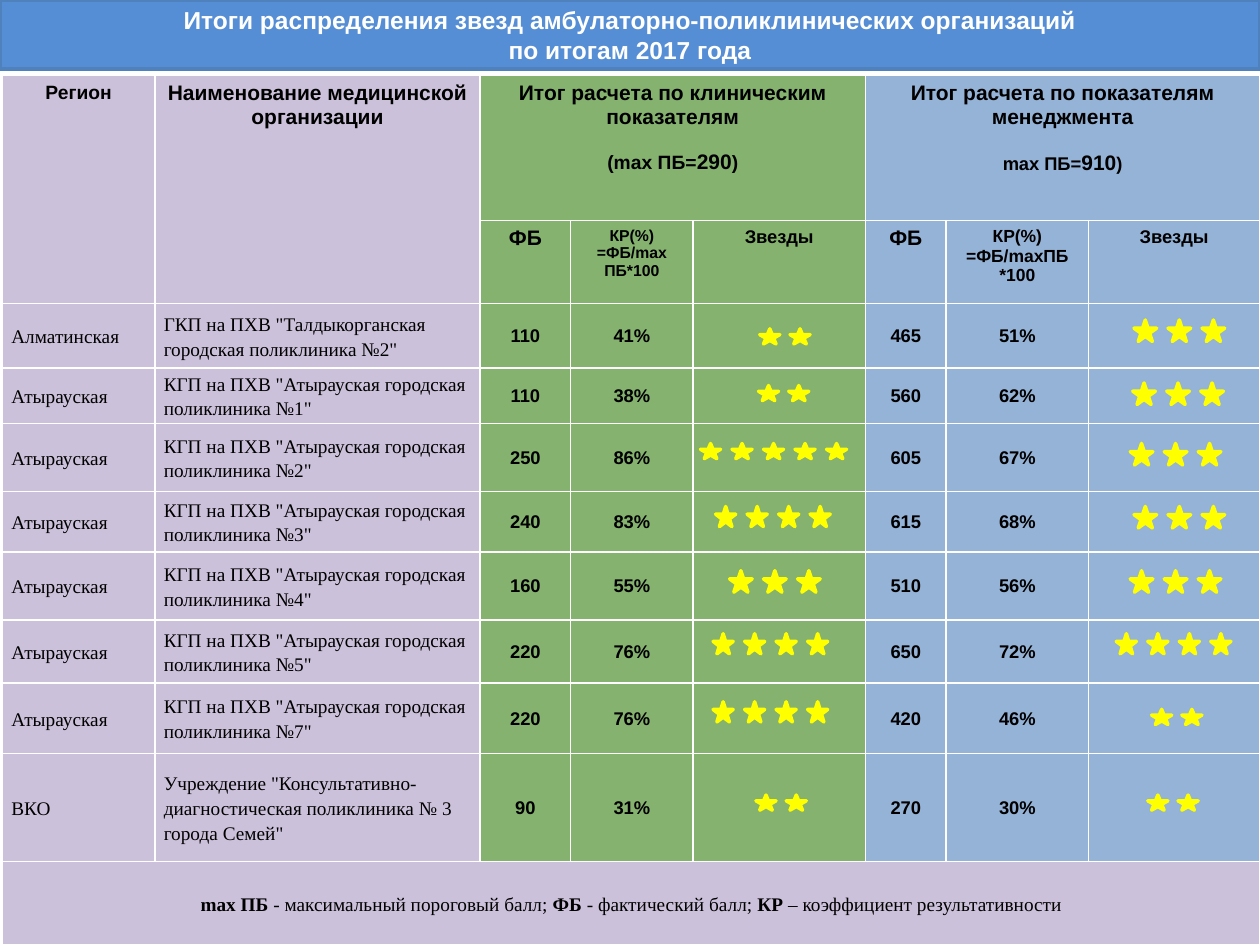
from pptx import Presentation
from pptx.dml.color import RGBColor
from pptx.enum.shapes import MSO_SHAPE
from pptx.enum.text import MSO_ANCHOR, PP_ALIGN
from pptx.oxml import parse_xml
from pptx.oxml.ns import nsdecls
from pptx.util import Inches, Pt

WHITE = RGBColor(0xFF, 0xFF, 0xFF)
BLACK = RGBColor(0, 0, 0)
YELLOW = RGBColor(0xFF, 0xFF, 0)
TITLE_BLUE = RGBColor(0x55, 0x8E, 0xD5)
TITLE_EDGE = RGBColor(0x4F, 0x81, 0xBD)
LILAC = RGBColor(0xCC, 0xC1, 0xDA)
GREEN = RGBColor(0x85, 0xB2, 0x6E)
BLUE = RGBColor(0x95, 0xB3, 0xD7)
COLUMN_COLORS = [LILAC] * 2 + [GREEN] * 3 + [BLUE] * 3

REGION_INSETS = {"margin_left": Inches(0.07), "margin_top": 0,
                 "margin_right": Inches(0.07), "margin_bottom": 0,
                 "vertical_anchor": MSO_ANCHOR.MIDDLE}
SCORE_INSETS = {"margin_left": Inches(0.01), "margin_top": Inches(0.01),
                "margin_right": Inches(0.01), "margin_bottom": 0,
                "vertical_anchor": MSO_ANCHOR.MIDDLE}


def write(cell, paragraphs, font="Arial", align=PP_ALIGN.CENTER, spacing=None, gap=0, layout={}):
    for name, value in layout.items():
        setattr(cell, name, value)
    frame = cell.text_frame
    for index, runs in enumerate(paragraphs):
        paragraph = frame.add_paragraph() if index else frame.paragraphs[0]
        paragraph.alignment = align
        paragraph.line_spacing = spacing
        if index and gap:
            paragraph.space_before = Pt(gap)
        for text, size, bold in runs:
            run = paragraph.add_run()
            run.text = text
            run.font.name = font
            run.font.size = Pt(size)
            run.font.bold = bold
            run.font.color.rgb = BLACK


prs = Presentation()
prs.slide_width, prs.slide_height = Inches(10), Inches(7.5)
slide = prs.slides.add_slide(prs.slide_layouts[5])

title = slide.shapes.title
title.left, title.top, title.width, title.height = 0, 0, Inches(10), Inches(0.55)
title.fill.solid()
title.fill.fore_color.rgb = TITLE_BLUE
title.line.color.rgb = TITLE_EDGE
title.line.width = Pt(2)
title.text_frame.text = "Итоги распределения звезд амбулаторно-поликлинических организаций\vпо итогам 2017 года"
title.text_frame.vertical_anchor = MSO_ANCHOR.MIDDLE
heading = title.text_frame.paragraphs[0]
heading.alignment = PP_ALIGN.CENTER
for run in heading.runs:
    for name, value in {"name": "Arial", "size": Pt(14), "bold": True}.items():
        setattr(run.font, name, value)
    run.font.color.rgb = WHITE

column_widths = [1.21, 2.58, 0.72, 0.97, 1.37, 0.64, 1.13, 1.36]
row_heights = [1.15, 0.66, 0.51, 0.44, 0.54, 0.48, 0.54, 0.5, 0.56, 0.86, 0.66]
table = slide.shapes.add_table(len(row_heights), len(column_widths), Inches(0.02), Inches(0.6),
                               Inches(9.98), Inches(6.9)).table
for column, width in zip(table.columns, column_widths):
    column.width = Inches(width)
for row, height in zip(table.rows, row_heights):
    row.height = Inches(height)

last = len(row_heights) - 1
for row_index in range(len(row_heights)):
    for column_index, color in enumerate(COLUMN_COLORS):
        cell = table.cell(row_index, column_index)
        properties = cell._tc.get_or_add_tcPr()
        for side in ("L", "R", "T", "B"):
            properties.append(parse_xml(
                f'<a:ln{side} {nsdecls("a")} w="12700"><a:solidFill>'
                f'<a:srgbClr val="{WHITE}"/></a:solidFill></a:ln{side}>'))
        cell.fill.solid()
        cell.fill.fore_color.rgb = LILAC if row_index == last else color

for top, left, bottom, right in [(0, 0, 1, 0), (0, 1, 1, 1), (0, 2, 0, 4), (0, 5, 0, 7), (last, 0, last, 7)]:
    table.cell(top, left).merge(table.cell(bottom, right))

write(table.cell(0, 0), [[("Регион", 11, True)]])
write(table.cell(0, 1), [[("Наименование медицинской организации", 12, True)]])
write(table.cell(0, 2), [[("Итог расчета по клиническим показателям", 12, True)],
                         [("(mах ПБ=", 11, True), ("290", 12, True), (")", 11, True)]], gap=12)
write(table.cell(0, 5), [[("Итог расчета по показателям менеджмента", 12, True)],
                         [("mах ПБ=", 10.5, True), ("910", 12, True), (")", 10.5, True)]], gap=13)
for first, ratio, ratio_size in [(2, "=ФБ/mах ПБ*100", 9), (5, "=ФБ/mахПБ *100", 10)]:
    write(table.cell(1, first), [[("ФБ", 12, True)]])
    write(table.cell(1, first + 1), [[("КР(%)", ratio_size, True)], [(ratio, ratio_size, True)]])
    write(table.cell(1, first + 2), [[("Звезды", 10.5, True)]])

clinics = [
    ("Алматинская", 'ГКП на ПХВ "Талдыкорганская городская поликлиника №2"', "110", "41%", "465", "51%"),
    ("Атырауская", 'КГП на ПХВ "Атырауская городская поликлиника №1"', "110", "38%", "560", "62%"),
    ("Атырауская", 'КГП на ПХВ "Атырауская городская поликлиника №2"', "250", "86%", "605", "67%"),
    ("Атырауская", 'КГП на ПХВ "Атырауская городская поликлиника №3"', "240", "83%", "615", "68%"),
    ("Атырауская", 'КГП на ПХВ "Атырауская городская поликлиника №4"', "160", "55%", "510", "56%"),
    ("Атырауская", 'КГП на ПХВ "Атырауская городская поликлиника №5"', "220", "76%", "650", "72%"),
    ("Атырауская", 'КГП на ПХВ "Атырауская городская поликлиника №7"', "220", "76%", "420", "46%"),
    ("ВКО", 'Учреждение "Консультативно-диагностическая поликлиника № 3 города Семей"',
     "90", "31%", "270", "30%"),
]
for row_index, clinic in enumerate(clinics, start=2):
    for column_index, text in zip((0, 1, 2, 3, 5, 6), clinic):
        cell = table.cell(row_index, column_index)
        if column_index < 2:
            write(cell, [[(text, 11, False)]], "Times New Roman", PP_ALIGN.LEFT, 1.15, layout=REGION_INSETS)
        else:
            write(cell, [[(text, 10.5, True)]], layout=SCORE_INSETS)

write(table.cell(last, 0), [[("mах ПБ ", 11, True), ("- максимальный пороговый балл; ", 11, False),
                             ("ФБ", 11, True), (" - фактический балл; ", 11, False),
                             ("КР", 11, True), (" – коэффициент результативности", 11, False)]],
      "Times New Roman", spacing=1.15, layout=REGION_INSETS)

star_sizes = {2: (0.16, 0.12, 0.24), 3: (0.18, 0.17, 0.27), 4: (0.16, 0.16, 0.25), 5: (0.16, 0.12, 0.25)}
ratings = [
    (2, 6.03, 2.61), (3, 9, 2.54),
    (2, 6.02, 3.06), (3, 8.99, 3.04),
    (5, 5.56, 3.52), (3, 8.97, 3.52),
    (4, 5.68, 4.02), (3, 9, 4.02),
    (3, 5.79, 4.53), (3, 8.97, 4.53),
    (4, 5.66, 5.03), (4, 8.86, 5.03),
    (4, 5.66, 5.57), (2, 9.14, 5.63),
    (2, 6, 6.31), (2, 9.11, 6.31),
]
for count, left, top in ratings:
    width, height, pitch = star_sizes[count]
    rating = slide.shapes.add_group_shape()
    for index in range(count):
        star = rating.shapes.add_shape(MSO_SHAPE.STAR_5_POINT, Inches(left + index * pitch), Inches(top),
                                       Inches(width), Inches(height))
        star.shadow.inherit = False
        star.fill.solid()
        star.fill.fore_color.rgb = YELLOW
        star.line.color.rgb = YELLOW
        star.line.width = Pt(2)

prs.save("out.pptx")
